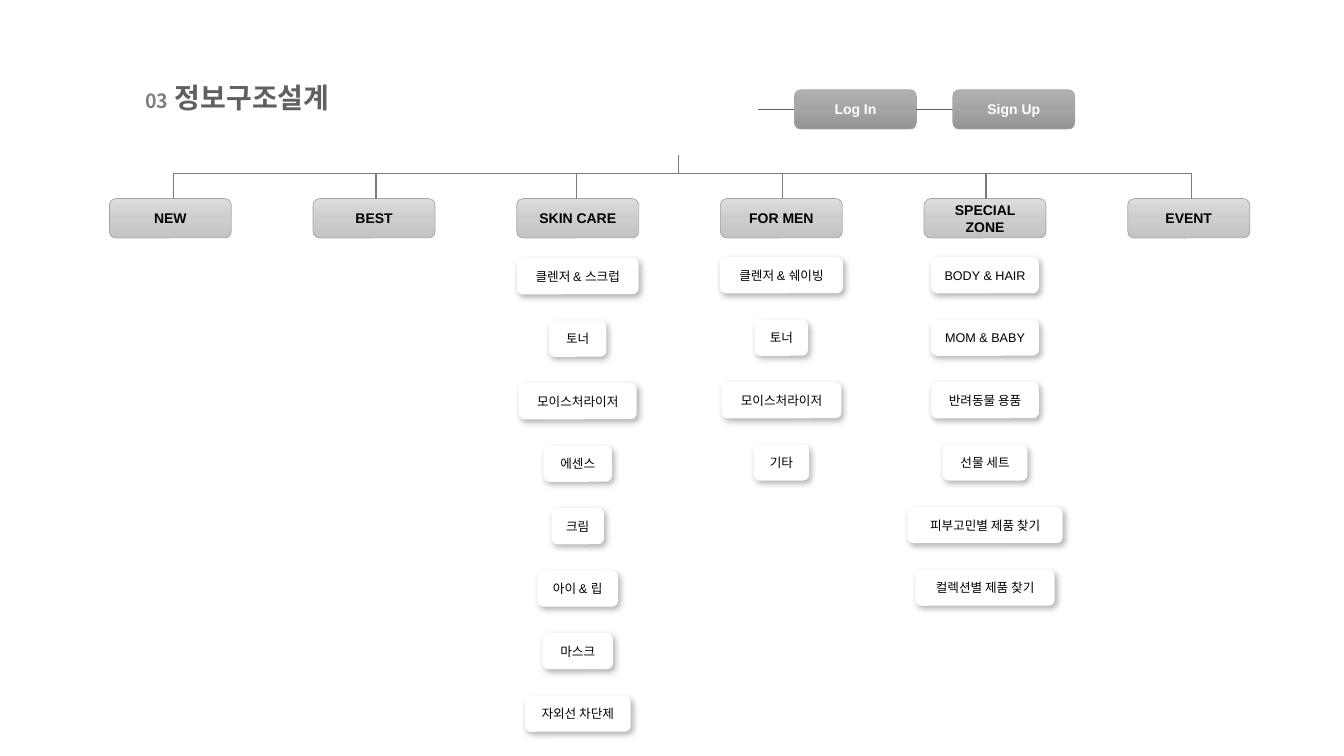
from copy import deepcopy
from lxml import etree
from pptx import Presentation
from pptx.dml.color import RGBColor
from pptx.enum import shapes, text
from pptx.oxml.ns import qn
from pptx.util import Inches, Pt

TITLE = ("03", " 정보구조설계")
MENUS = ["NEW", "BEST", "SKIN CARE", "FOR MEN", "SPECIAL ZONE", "EVENT"]
DROPS = [1.72, 3.73, 5.72, 7.76, 9.78, 11.82]
# menu column: (top of first item, [(label, width)])
ITEMS = {
    2: (2.56, [("클렌저 & 스크럽", 1.21), ("토너", 0.57), ("모이스처라이저", 1.17),
               ("에센스", 0.68), ("크림", 0.52), ("아이 & 립", 0.8),
               ("마스크", 0.7), ("자외선 차단제", 1.05)]),
    3: (2.55, [("클렌저 & 쉐이빙", 1.22), ("토너", 0.53),
               ("모이스처라이저", 1.19), ("기타", 0.55)]),
    4: (2.55, [("BODY & HAIR", 1.07), ("MOM & BABY", 1.07),
               ("반려동물 용품", 1.07), ("선물 세트", 0.84),
               ("피부고민별 제품 찾기", 1.54), ("컬렉션별 제품 찾기", 1.38)]),
}
LOGINS = ["Log In", "Sign Up"]

BLACK = RGBColor(0, 0, 0)
WHITE = RGBColor(255, 255, 255)
EDGE = RGBColor(0xA5, 0xA5, 0xA5)
TREE = RGBColor(0x7A, 0x7A, 0x7A)
DARK = RGBColor(0x60, 0x60, 0x60)
GRAY = RGBColor(0x80, 0x80, 0x80)
LIGHT = [RGBColor(v, v, v) for v in (0xDD, 0xCD, 0xC4)]
DEEP = [RGBColor(v, v, v) for v in (0xB0, 0xA5, 0x93)]
LATIN, KOREAN = "Arial", "Noto Sans CJK KR"

BOX_W, BOX_H, ITEM_H = 1.21, 0.39, 0.36
FIRST, STEP, ROW = 1.69, 2.02, 0.62
MENU_Y, BAR_Y, STEM_Y = 1.97, 1.72, 1.54
LOG_X, LOG_Y, LOG_GAP = 7.88, 0.89, 0.36


def box(slide, label, mid, top, wide, high, size, color):
    """Add a rounded box centred on mid."""
    shape = slide.shapes.add_shape(
        shapes.MSO_SHAPE.ROUNDED_RECTANGLE, Inches(mid - wide / 2),
        Inches(top), Inches(wide), Inches(high))
    shape.shadow.inherit = False
    frame = shape.text_frame
    frame.vertical_anchor = text.MSO_ANCHOR.MIDDLE
    para = frame.paragraphs[0]
    para.text = label
    para.alignment = text.PP_ALIGN.CENTER
    para.font.name, para.font.size = LATIN, Pt(size)
    para.font.color.rgb = color
    return shape


def button(slide, label, mid, top, shades, color):
    shape = box(slide, label, mid, top, BOX_W, BOX_H, 10, color)
    shape.text_frame.word_wrap = True
    shape.text_frame.paragraphs[0].font.bold = True
    shape.line.color.rgb, shape.line.width = EDGE, Pt(0.5)
    fill = shape.fill
    fill.gradient()
    fill.gradient_angle = 270
    stops = shape._element.spPr.find(".//" + qn("a:gsLst"))
    stops.append(deepcopy(stops[-1]))
    for stop, shade, place in zip(fill.gradient_stops, shades, (0, 0.5, 1)):
        stop.color.rgb, stop.position = shade, place


def item(slide, label, mid, top, wide):
    shape = box(slide, label, mid, top, wide, ITEM_H, 9, BLACK)
    shape.text_frame.word_wrap = False
    shape.fill.solid()
    shape.fill.fore_color.rgb = WHITE
    shape.line.fill.background()
    effects = shape._element.spPr.find(qn("a:effectLst"))
    shadow = etree.SubElement(
        effects, qn("a:outerShdw"), blurRad=str(Pt(4.5)), dist=str(Pt(2.6)),
        dir=str(53 * 60000), algn="tl", rotWithShape="0")
    black = etree.SubElement(shadow, qn("a:srgbClr"), val="000000")
    etree.SubElement(black, qn("a:alpha"), val="30000")


def line(parent, x1, y1, x2, y2, color):
    link = parent.shapes.add_connector(
        shapes.MSO_CONNECTOR.STRAIGHT,
        Inches(x1), Inches(y1), Inches(x2), Inches(y2))
    link.line.color.rgb, link.line.width = color, Pt(1)
    etree.SubElement(link._element.spPr, qn("a:effectLst"))


def title(slide):
    head = slide.shapes.title
    head.left, head.top = Inches(1.34), Inches(0.79)
    head.width, head.height = Inches(3.16), Inches(0.4)
    frame = head.text_frame
    frame.auto_size = text.MSO_AUTO_SIZE.NONE
    frame.vertical_anchor = text.MSO_ANCHOR.MIDDLE
    para = frame.paragraphs[0]
    para.alignment, para.line_spacing = text.PP_ALIGN.LEFT, 0.9
    para.font.bold = True
    for words, size, color in zip(TITLE, (14, 20), (GRAY, DARK)):
        run = para.add_run()
        run.text = words
        run.font.name, run.font.size = KOREAN, Pt(size)
        run.font.color.rgb = color
        etree.SubElement(run._r.rPr, qn("a:ea"), typeface=KOREAN)


def main():
    deck = Presentation()
    deck.slide_width, deck.slide_height = Inches(13.33), Inches(7.5)
    slide = deck.slides.add_slide(deck.slide_layouts[5])
    title(slide)

    for col, menu in enumerate(MENUS):
        mid = FIRST + col * STEP
        button(slide, menu, mid, MENU_Y, LIGHT, BLACK)
        top, entries = ITEMS.get(col, (0, []))
        for row, (label, wide) in enumerate(entries):
            item(slide, label, mid, top + row * ROW, wide)

    tree = slide.shapes.add_group_shape()
    line(tree, 6.73, STEM_Y, 6.73, BAR_Y, TREE)
    line(tree, DROPS[0], BAR_Y, DROPS[-1], BAR_Y, TREE)
    for x in DROPS:
        line(tree, x, MENU_Y, x, BAR_Y, TREE)

    for k, label in enumerate(LOGINS):
        left = LOG_X + k * (BOX_W + LOG_GAP)
        mid_y = LOG_Y + BOX_H / 2
        line(slide, left - LOG_GAP, mid_y, left, mid_y, DARK)
        button(slide, label, left + BOX_W / 2, LOG_Y, DEEP, WHITE)

    deck.save("out.pptx")


if __name__ == "__main__":
    main()
